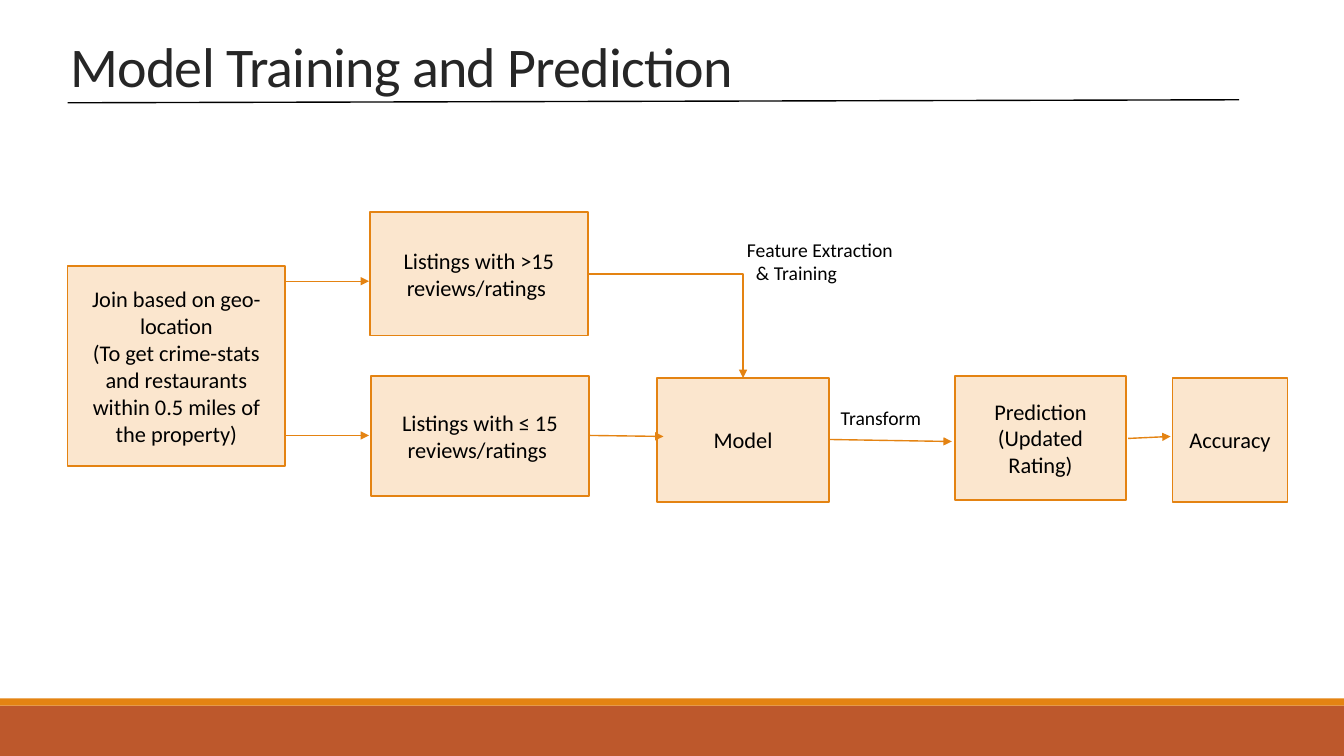
from lxml import etree
from pptx import Presentation
from pptx.dml.color import RGBColor
from pptx.enum import shapes, text
from pptx.oxml import ns
from pptx.util import Inches, Pt

ORANGE = RGBColor(0xE4, 0x83, 0x12)
RUST = RGBColor(0xBD, 0x58, 0x2C)
CREAM = RGBColor(0xFB, 0xE6, 0xCE)
BLACK = RGBColor(0, 0, 0)
CHARCOAL = RGBColor(0x26, 0x26, 0x26)
FONT = "Calibri"
WIDTH, HEIGHT = 13.33, 7.5


def write(frame, lines, size, color, align=text.PP_ALIGN.LEFT):
    frame.word_wrap = True
    for i, line in enumerate(lines):
        paragraph = frame.paragraphs[0] if i == 0 else frame.add_paragraph()
        paragraph.text = line
        paragraph.alignment = align
        paragraph.font.name = FONT
        paragraph.font.size = Pt(size)
        paragraph.font.color.rgb = color


def add_box(slide, box, fill):
    rect = slide.shapes.add_shape(shapes.MSO_SHAPE.RECTANGLE, *map(Inches, box))
    rect.shadow.inherit = False
    rect.fill.solid()
    rect.fill.fore_color.rgb = fill
    rect.line.fill.background()
    return rect


def add_step(slide, box, lines):
    step = add_box(slide, box, CREAM)
    step.line.color.rgb = ORANGE
    step.line.width = Pt(1.25)
    step.text_frame.vertical_anchor = text.MSO_ANCHOR.MIDDLE
    write(step.text_frame, lines, 16, BLACK, text.PP_ALIGN.CENTER)


def add_line(slide, start, end, color, bent=False):
    kind = shapes.MSO_CONNECTOR.ELBOW if bent else shapes.MSO_CONNECTOR.STRAIGHT
    line = slide.shapes.add_connector(kind, *map(Inches, start + end))
    line.line.color.rgb = color
    line.line.width = Pt(1)
    properties = line._element.spPr
    etree.SubElement(properties, ns.qn("a:effectLst"))
    if bent:  # a single corner: across, then down
        properties.find(ns.qn("a:prstGeom")).set("prst", "bentConnector2")
    return line


def add_arrow(slide, start, end, bent=False):
    arrow = add_line(slide, start, end, ORANGE, bent)
    etree.SubElement(arrow.line._get_or_add_ln(), ns.qn("a:tailEnd"), type="triangle")


def add_label(slide, box, lines):
    label = slide.shapes.add_textbox(*map(Inches, box))
    write(label.text_frame, lines, 14, BLACK)
    return label


def add_footer(slide, top):
    add_box(slide, (0, top + 0.07, WIDTH, HEIGHT - top - 0.07), RUST)
    add_box(slide, (0, top, WIDTH, 0.07), ORANGE)


def add_title(slide, box, title):
    """Title with a rule beneath it."""
    left, top, width, height = box
    heading = slide.shapes.add_textbox(*map(Inches, box))
    heading.text_frame.vertical_anchor = text.MSO_ANCHOR.BOTTOM
    write(heading.text_frame, [title], 40, CHARCOAL)
    paragraph = heading.text_frame.paragraphs[0]
    paragraph.line_spacing = 0.85
    paragraph.runs[0].font._element.set("spc", "-50")
    bottom = top + height
    add_line(slide, (left + 0.07, bottom - 0.01),
             (left + width - 0.07, bottom - 0.04), BLACK)


def add_flow(slide, left, top):
    """Model pipeline, with every place counted from its top left corner."""
    def at(x, y):
        return left + x, top + y

    steps = [
        (0, 0.54, 2.16, 1.98, ["Join based on geo-location",
                               "(To get crime-stats and restaurants "
                               "within 0.5 miles of the property)"]),
        (3, 0, 2.16, 1.23, ["Listings with >15 reviews/ratings "]),
        (3.01, 1.63, 2.16, 1.19, ["Listings with ≤ 15 reviews/ratings "]),
        (5.85, 1.65, 1.7, 1.23, ["Model"]),
        (8.8, 1.63, 1.7, 1.23, ["Prediction", "(Updated Rating)"]),
        (10.96, 1.65, 1.14, 1.23, ["Accuracy"]),
    ]
    arrows = [
        ((2.16, 0.69), (2.99, 0.69)),
        ((2.16, 2.22), (2.99, 2.22)),
        ((5.17, 2.22), (5.91, 2.23)),
        ((7.55, 2.26), (8.77, 2.28)),
        ((10.52, 2.25), (10.94, 2.23)),
    ]
    for x, y, width, height, lines in steps:
        add_step(slide, (*at(x, y), width, height), lines)
    for start, end in arrows:
        add_arrow(slide, at(*start), at(*end))
    add_arrow(slide, at(5.16, 0.62), at(6.7, 1.65), bent=True)

    add_label(slide, (*at(7.57, 1.88), 1.2, 0.34), ["Transform"])
    training = add_label(slide, (*at(6.64, 0.21), 2.2, 0.81),
                         ["Feature Extraction", "& Training"])
    second_line = training.text_frame.paragraphs[1]
    second_line._p.get_or_add_pPr().set("marL", str(Inches(0.09)))


def main():
    deck = Presentation()
    deck.slide_width, deck.slide_height = Inches(WIDTH), Inches(HEIGHT)
    slide = deck.slides.add_slide(deck.slide_layouts[6])
    add_footer(slide, 6.93)
    add_flow(slide, 0.67, 2.1)
    add_title(slide, (0.6, 0.15, 11.76, 0.88), "Model Training and Prediction")
    deck.save("out.pptx")


if __name__ == "__main__":
    main()
